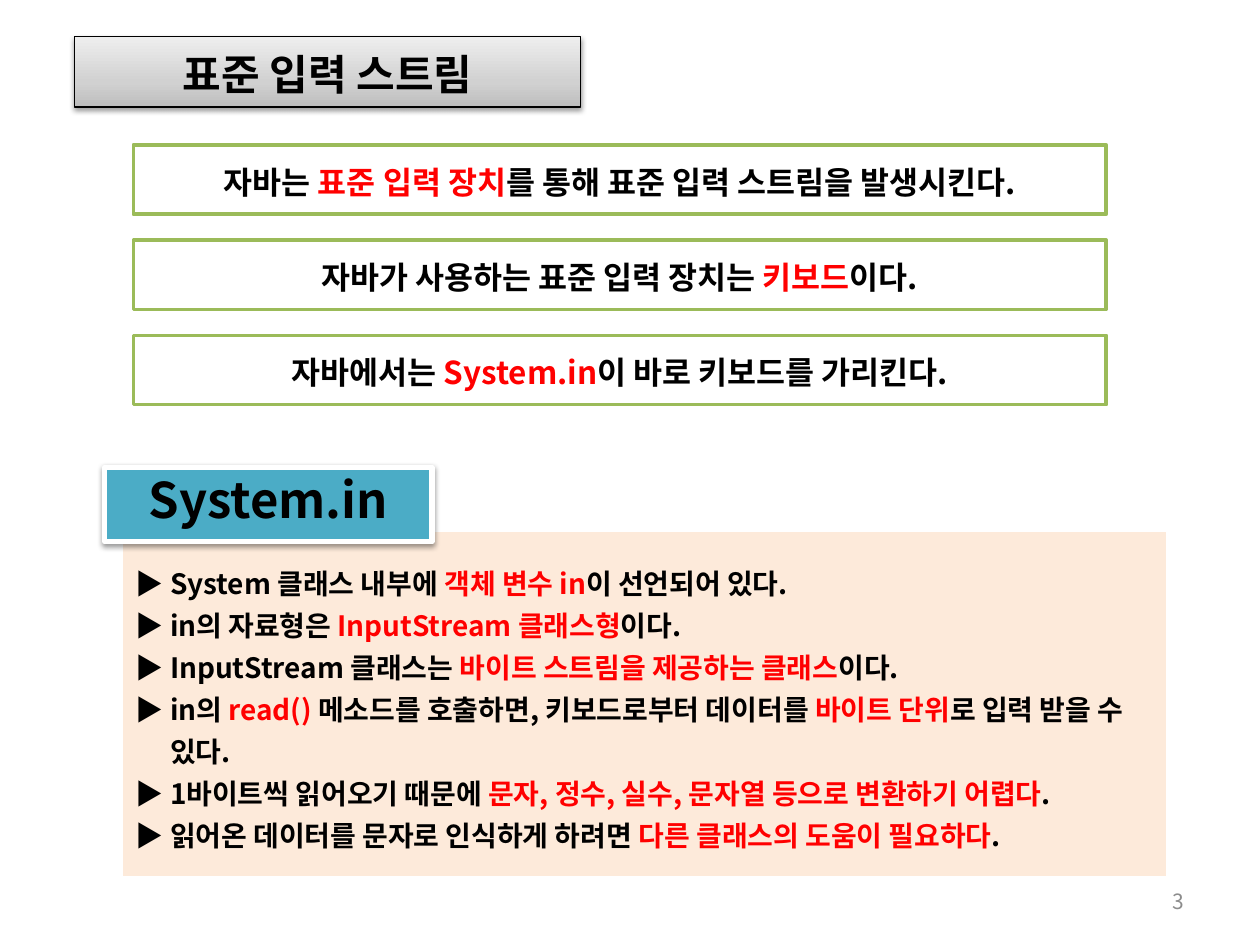
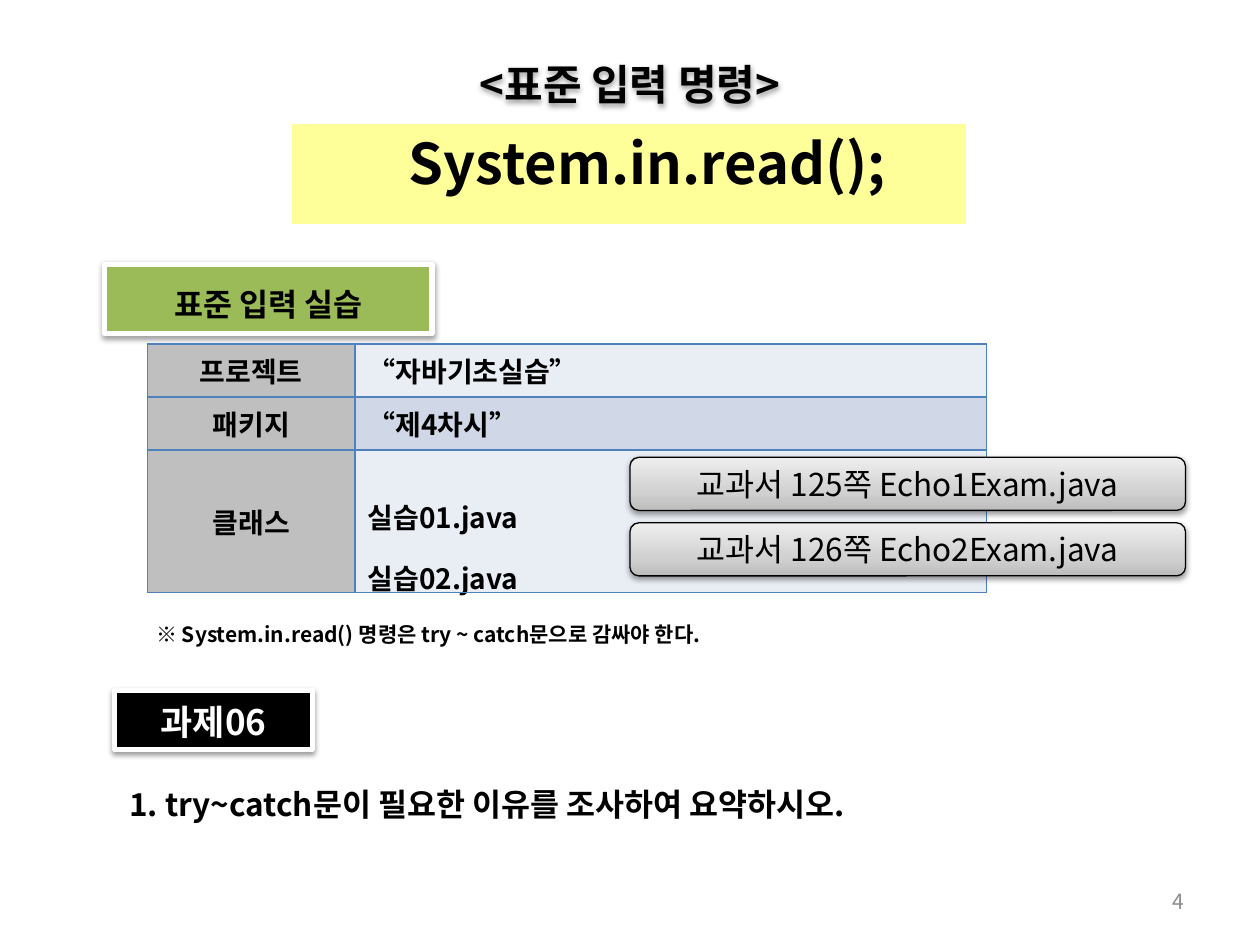
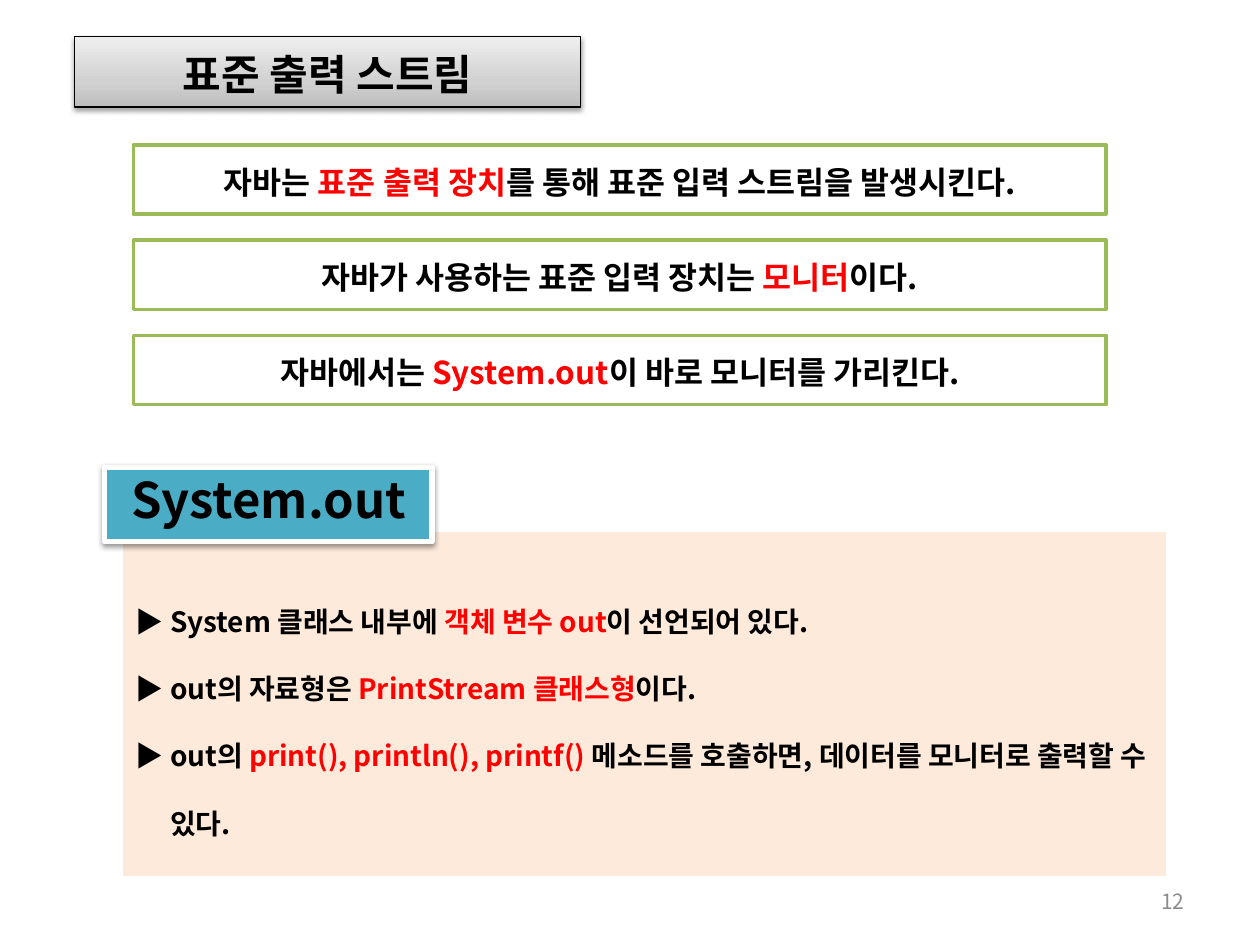
"""Build three lecture slides on the Java standard streams."""
from copy import deepcopy
from dataclasses import dataclass, replace
from typing import NamedTuple, Optional, Union

from lxml import etree
from pptx import Presentation
from pptx.dml.color import RGBColor
from pptx.enum import shapes, text
from pptx.oxml import ns
from pptx.util import Cm, Pt

FONT = "Noto Sans CJK KR"
BLACK = RGBColor(0x00, 0x00, 0x00)
WHITE = RGBColor(0xFF, 0xFF, 0xFF)
RED = RGBColor(0xFF, 0x00, 0x00)
GREEN = RGBColor(0x9B, 0xBB, 0x59)
TEAL = RGBColor(0x4B, 0xAC, 0xC6)
PEACH = RGBColor(0xFD, 0xEA, 0xDA)
YELLOW = RGBColor(0xFF, 0xFF, 0x99)
NUMBER_GRAY = RGBColor(0x8C, 0x8C, 0x8C)
HEAD_GRAY = RGBColor(0xBF, 0xBF, 0xBF)
GRID_BLUE = RGBColor(0x4F, 0x81, 0xBD)
BAND_LIGHT = RGBColor(0xE9, 0xED, 0xF4)
BAND_DARK = RGBColor(0xD0, 0xD8, 0xE8)
SILVER = (
    (0, RGBColor(0xBD, 0xBD, 0xBD)),
    (0.35, RGBColor(0xD1, 0xD1, 0xD1)),
    (1, RGBColor(0xEE, 0xEE, 0xEE)),
)
LEFT, CENTER, RIGHT = text.PP_ALIGN.LEFT, text.PP_ALIGN.CENTER, text.PP_ALIGN.RIGHT
PROCESS = shapes.MSO_SHAPE.FLOWCHART_PROCESS
ROUNDED = shapes.MSO_SHAPE.ROUNDED_RECTANGLE
HANG = Cm(0.69)


class Area(NamedTuple):
    """Position and size in centimetres."""

    left: float
    top: float
    width: float
    height: float


@dataclass(frozen=True)
class Look:
    """Paragraph formatting."""

    size: float
    align: text.PP_ALIGN = CENTER
    spacing: Union[float, Pt, None] = None
    bold: bool = True
    color: RGBColor = BLACK
    margin: int = 0
    indent: int = 0


@dataclass(frozen=True)
class Panel:
    """Formatting of a shape and its text."""

    look: Look
    fill: Union[RGBColor, tuple, None] = None
    line: Optional[RGBColor] = None
    line_width: float = 0.75
    shadow: bool = False
    kind: shapes.MSO_SHAPE = PROCESS
    inset_top: float = 0.2


HEADER = Panel(Look(24), SILVER, BLACK, shadow=True)
NOTE = Panel(Look(18, spacing=Pt(22)), WHITE, GREEN, 2)
BODY = Panel(Look(16, LEFT, Pt(24), margin=HANG, indent=-HANG), PEACH)
LABEL = Panel(Look(28, spacing=Pt(25)), TEAL, WHITE, 3, True)
PRACTICE = replace(LABEL, look=Look(18, spacing=Pt(25)), fill=GREEN)
TASK_LABEL = replace(LABEL, look=Look(20, color=WHITE), fill=BLACK)
CAPTION = Panel(Look(24, spacing=Pt(25)), shadow=True)
COMMAND = Panel(Look(32, spacing=Pt(22), margin=Cm(0.74)), YELLOW)
REMARK = Panel(Look(12, LEFT, Pt(22)))
TASK = Panel(Look(18, LEFT, Pt(25), margin=HANG, indent=-HANG))
BUTTON = Panel(Look(18, bold=False), SILVER, BLACK, shadow=True, kind=ROUNDED, inset_top=0.13)
CELL = Look(16, LEFT)
NUMBER = Look(12, RIGHT, bold=False, color=NUMBER_GRAY)


@dataclass(frozen=True)
class Stream:
    """Content of a slide that presents one stream; stars enclose red words."""

    title: str
    notes: tuple[str, ...]
    label: str
    facts: tuple[str, ...]
    spacing: Union[float, Pt]
    number: int


INPUT = Stream(
    "표준 입력 스트림",
    (
        "자바는 *표준 입력 장치*를 통해 표준 입력 스트림을 발생시킨다.",
        "자바가 사용하는 표준 입력 장치는 *키보드*이다.",
        "자바에서는 *System.in*이 바로 키보드를 가리킨다.",
    ),
    "System.in",
    (
        "▶ System 클래스 내부에 *객체 변수 in*이 선언되어 있다.",
        "▶ in의 자료형은 *InputStream 클래스형*이다.",
        "▶ InputStream 클래스는 *바이트 스트림을 제공하는 클래스*이다.",
        "▶ in의 *read() *메소드를 호출하면, 키보드로부터 데이터를 *바이트 단위*로 입력 받을 수 있다.",
        "▶ 1바이트씩 읽어오기 때문에 *문자, 정수, 실수, 문자열 등으로 변환하기 어렵다*.",
        "▶ 읽어온 데이터를 문자로 인식하게 하려면 *다른 클래스의 도움이 필요하다*.",
    ),
    Pt(24),
    3,
)
OUTPUT = Stream(
    "표준 출력 스트림",
    (
        "자바는 *표준 출력 장치*를 통해 표준 입력 스트림을 발생시킨다.",
        "자바가 사용하는 표준 입력 장치는 *모니터*이다.",
        "자바에서는 *System.out*이 바로 모니터를 가리킨다.",
    ),
    "System.out",
    (
        "▶ System 클래스 내부에 *객체 변수 out*이 선언되어 있다.",
        "▶ out의 자료형은 *PrintStream 클래스형*이다.",
        "▶ out의 *print(), println(), printf() *메소드를 호출하면, 데이터를 모니터로 출력할 수 있다.",
    ),
    2.0,
    12,
)


def add_child(parent, tag: str, **attributes: str):
    """Append a DrawingML element to a parent."""
    return etree.SubElement(parent, ns.qn(f"a:{tag}"), attributes)


def write_paragraph(para, line: str, look: Look) -> None:
    """Write one line, turning the words between stars red."""
    para.alignment = look.align
    if look.spacing is not None:
        para.line_spacing = look.spacing
    font = para.font
    font.size, font.bold, font.name = Pt(look.size), look.bold, FONT
    font.color.rgb = look.color
    properties = para._p.get_or_add_pPr()
    properties.set("marL", str(look.margin))
    properties.set("indent", str(look.indent))
    add_child(properties.find(ns.qn("a:defRPr")), "ea", typeface=FONT)
    for index, words in enumerate(line.split("*")):
        span = para.add_run()
        span.text = words
        if index % 2:
            span.font.color.rgb = RED


def write_lines(frame, lines: tuple[str, ...], look: Look) -> None:
    """Fill a text frame with one paragraph per line."""
    for index, line in enumerate(lines):
        para = frame.add_paragraph() if index else frame.paragraphs[0]
        write_paragraph(para, line, look)


def paint_gradient(shape, stops: tuple) -> None:
    """Fill a shape with a vertical gradient that starts at the bottom."""
    shape.fill.gradient()
    stop_list = shape._element.spPr.find(".//" + ns.qn("a:gsLst"))
    stop_list.append(deepcopy(stop_list[0]))
    for stop, (position, color) in zip(shape.fill.gradient_stops, stops):
        stop.position = position
        stop.color.rgb = color
    shape.fill.gradient_angle = 90


def add_shadow(shape) -> None:
    """Give a shape a soft shadow below it."""
    effects = shape._element.spPr.find(ns.qn("a:effectLst"))
    outer = add_child(effects, "outerShdw", blurRad="40000", dist="20000",
                      dir="5400000", rotWithShape="0")
    color = add_child(outer, "srgbClr", val=str(BLACK))
    add_child(color, "alpha", val="38000")


def add_panel(page, area: Area, panel: Panel, *lines: str) -> None:
    """Draw a panel with its lines of text."""
    shape = page.shapes.add_shape(panel.kind, *map(Cm, area))
    shape.shadow.inherit = False
    if panel.shadow:
        add_shadow(shape)
    if panel.fill is None:
        shape.fill.background()
    elif panel.fill is SILVER:
        paint_gradient(shape, SILVER)
    else:
        shape.fill.solid()
        shape.fill.fore_color.rgb = panel.fill
    if panel.line is None:
        shape.line.fill.background()
    else:
        shape.line.color.rgb = panel.line
        shape.line.width = Pt(panel.line_width)
    frame = shape.text_frame
    frame.word_wrap = True
    frame.vertical_anchor = text.MSO_ANCHOR.MIDDLE
    frame.margin_left = frame.margin_right = Cm(0.25)
    frame.margin_top, frame.margin_bottom = Cm(panel.inset_top), Cm(0.13)
    write_lines(frame, lines, panel.look)


def add_column(page, first: Area, step: float, panel: Panel, lines: tuple[str, ...]) -> None:
    """Draw equal panels below one another, one per line."""
    for index, line in enumerate(lines):
        add_panel(page, first._replace(top=first.top + index * step), panel, line)


def add_number(page, number: int) -> None:
    """Write the slide number in the lower right corner."""
    box = page.shapes.add_textbox(*map(Cm, Area(18.21, 17.65, 5.92, 1.02)))
    box.text_frame.word_wrap = True
    box.text_frame.vertical_anchor = text.MSO_ANCHOR.MIDDLE
    write_lines(box.text_frame, (str(number),), NUMBER)


def style_cell(cell, color: RGBColor) -> None:
    """Border a cell on all sides and fill it."""
    properties = cell._tc.get_or_add_tcPr()
    for side in ("lnL", "lnR", "lnT", "lnB"):
        border = add_child(properties, side, w=str(Pt(1)))
        add_child(add_child(border, "solidFill"), "srgbClr", val=str(GRID_BLUE))
    cell.fill.solid()
    cell.fill.fore_color.rgb = color


def add_practice_table(page) -> None:
    """Draw the table of project, package and classes."""
    rows = (
        ("프로젝트", "“자바기초실습”", 1.07, BAND_LIGHT),
        ("패키지", "“제4차시”", 1.07, BAND_DARK),
        ("클래스", "", 2.87, BAND_LIGHT),
    )
    table = page.shapes.add_table(3, 2, *map(Cm, Area(2.97, 6.93, 16.92, 5.01))).table
    table.first_row = table.horz_banding = False
    for column, width in zip(table.columns, (4.19, 12.73)):
        column.width = Cm(width)
    for index, (name, value, height, band) in enumerate(rows):
        table.rows[index].height = Cm(height)
        head, detail = table.cell(index, 0), table.cell(index, 1)
        style_cell(head, HEAD_GRAY)
        style_cell(detail, band)
        write_lines(head.text_frame, (name,), replace(CELL, align=CENTER))
        if value:
            write_lines(detail.text_frame, (value,), CELL)
    head.vertical_anchor = text.MSO_ANCHOR.MIDDLE
    frame = detail.text_frame
    write_paragraph(frame.paragraphs[0], "실습01.java", replace(CELL, spacing=2.0))
    write_paragraph(frame.add_paragraph(), "실습02.java", replace(CELL, spacing=1.5))


def build_stream(page, stream: Stream) -> None:
    """Build a slide that presents one stream."""
    add_number(page, stream.number)
    add_panel(page, Area(1.5, 0.74, 10.21, 1.42), HEADER, stream.title)
    add_column(page, Area(2.69, 2.92, 19.61, 1.4), 1.92, NOTE, stream.notes)
    body = replace(BODY, look=replace(BODY.look, spacing=stream.spacing))
    add_panel(page, Area(2.49, 10.72, 21.01, 6.93), body, *stream.facts)
    add_panel(page, Area(2.11, 9.42, 6.6, 1.5), LABEL, stream.label)


def build_practice(page) -> None:
    """Build the slide with the input command and its exercise."""
    add_number(page, 4)
    add_panel(page, Area(5.89, 2.51, 13.59, 2.01), COMMAND, "System.in.read();")
    add_panel(page, Area(7.9, 1.12, 9.6, 1.19), CAPTION, "<표준 입력 명령>")
    add_panel(page, Area(2.11, 5.33, 6.6, 1.4), PRACTICE, "표준 입력 실습")
    add_practice_table(page)
    add_column(page, Area(12.7, 9.22, 11.2, 1.07), 1.32, BUTTON,
               ("교과서 125쪽 Echo1Exam.java", "교과서 126쪽 Echo2Exam.java"))
    add_panel(page, Area(2.9, 12.12, 16.99, 0.99), REMARK,
              "※ System.in.read() 명령은 try ~ catch문으로 감싸야 한다.")
    add_panel(page, Area(2.36, 15.52, 19.74, 1.19), TASK,
              "1. try~catch문이 필요한 이유를 조사하여 요약하시오.")
    add_panel(page, Area(2.31, 13.92, 3.99, 1.19), TASK_LABEL, "과제06")


def main() -> None:
    """Build the deck and save it."""
    deck = Presentation()
    deck.slide_width, deck.slide_height = Cm(25.4), Cm(19.05)
    pages = [deck.slides.add_slide(deck.slide_layouts[6]) for _ in range(3)]
    build_stream(pages[0], INPUT)
    build_practice(pages[1])
    build_stream(pages[2], OUTPUT)
    deck.save("out.pptx")


if __name__ == "__main__":
    main()
